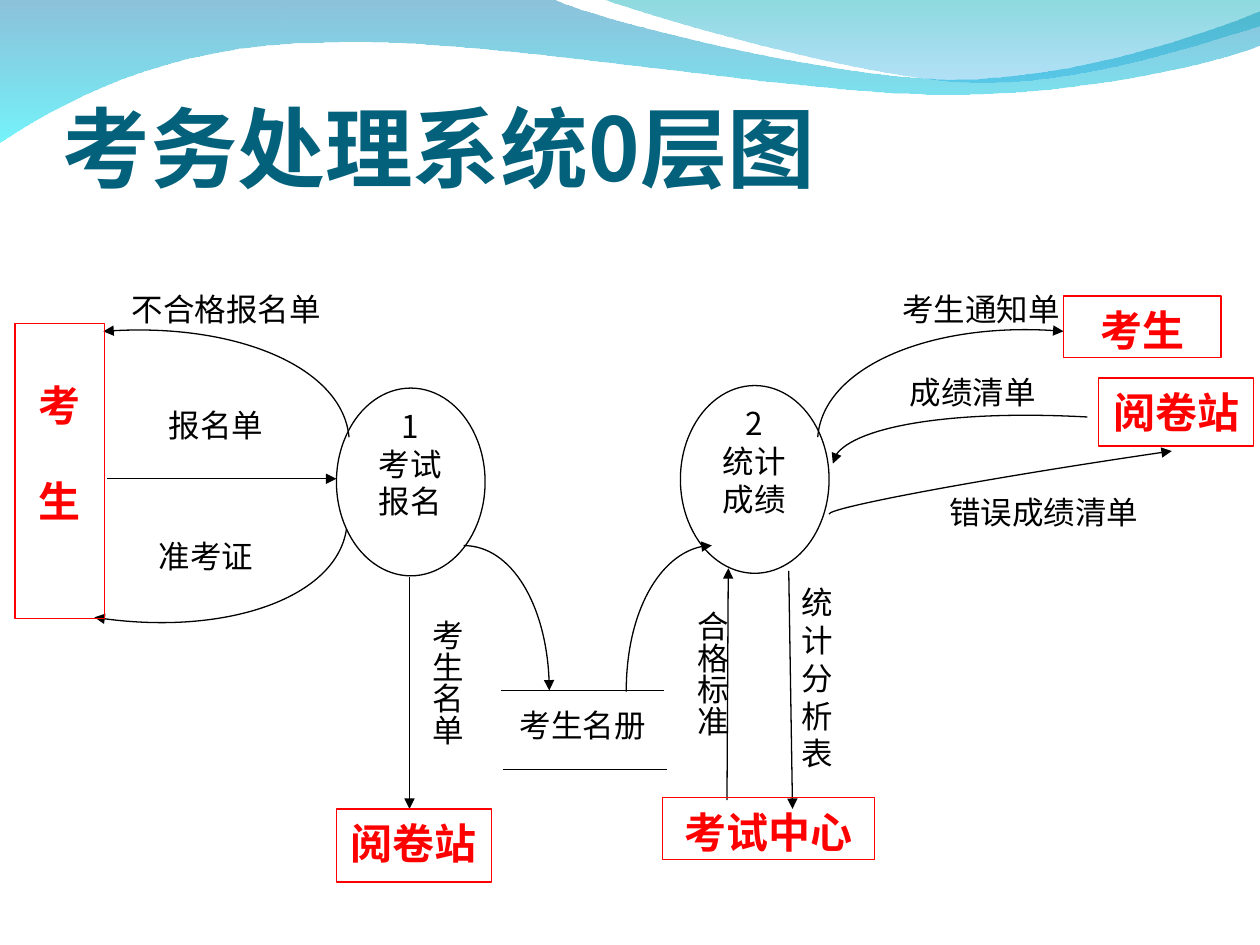
from lxml import etree
from pptx import Presentation
from pptx.dml.color import RGBColor
from pptx.enum.shapes import MSO_CONNECTOR, MSO_SHAPE
from pptx.enum.text import MSO_ANCHOR, PP_ALIGN
from pptx.oxml.ns import qn
from pptx.util import Inches, Pt

LINE, RECT, OVAL = MSO_CONNECTOR.STRAIGHT, MSO_SHAPE.RECTANGLE, MSO_SHAPE.OVAL
TOP, BOTTOM = MSO_ANCHOR.TOP, MSO_ANCHOR.BOTTOM
LEFT, CENTER, JUST = PP_ALIGN.LEFT, PP_ALIGN.CENTER, PP_ALIGN.JUSTIFY

BLACK = RGBColor(0, 0, 0)
RED = RGBColor(0xFF, 0, 0)
TEAL = RGBColor(0x04, 0x61, 0x7B)
BLUE = RGBColor(0x00, 0x79, 0xAF)
CYAN = RGBColor(0x00, 0xEB, 0xF8)
GREEN = RGBColor(0x00, 0xAD, 0xB6)
SKY = RGBColor(0x00, 0x9B, 0xE5)

SANS = "Noto Sans CJK SC"
LABEL = {"size": Pt(18), "name": SANS, "bold": False}
ENTITY = {"size": Pt(24), "name": "Times New Roman", "bold": True}
TITLE = {"size": Pt(50), "name": SANS, "bold": True}

deck = Presentation()
deck.slide_width, deck.slide_height = Inches(10), Inches(7.5)
slide = deck.slides.add_slide(deck.slide_layouts[6])
shapes = slide.shapes


def write(shape, text, font, color, inset=(0.1, 0.05), anchor=TOP, **layout):
    """Fill a shape with one paragraph per line of text."""
    frame = shape.text_frame
    side, edge = map(Inches, inset)
    body = {"word_wrap": True, "vertical_anchor": anchor, "margin_left": side,
            "margin_right": side, "margin_top": edge, "margin_bottom": edge}
    for key, value in body.items():
        setattr(frame, key, value)
    frame.text = text
    for para in frame.paragraphs:
        for key, value in ({"alignment": CENTER} | layout).items():
            setattr(para, key, value)
        run = para.runs[0]
        for key, value in font.items():
            setattr(run.font, key, value)
        run.font.color.rgb = color
        etree.SubElement(run.font._element, qn("a:ea"), typeface=SANS)
    return frame


def trace(start, steps, close=False):
    """Draw an outline; a step of six numbers is a Bezier curve."""
    points = [(Inches(s[i]), Inches(s[i + 1]))
              for s in steps for i in range(0, len(s), 2)]
    pen = shapes.build_freeform(Inches(start[0]), Inches(start[1]))
    pen.add_line_segments(points, close=close)
    shape = pen.convert_to_shape()
    track = shape._element.find(".//" + qn("a:path"))
    legs = iter(track.findall(qn("a:lnTo")))
    for step in steps:
        part = [next(legs) for _ in range(len(step) // 2)]
        if len(part) == 3:
            curve = etree.Element(qn("a:cubicBezTo"))
            part[0].addprevious(curve)
            for leg in part:
                curve.append(leg[0])
                track.remove(leg)
    shape.shadow.inherit = False
    return shape


# Waves along the top
waves = [
    ((0, 0), [(4.4, 0), (4.76, 0.17, 6.64, 0.63, 7.58, 0.63),
              (8.53, 0.63, 9.58, 0.26, 10, 0.09), (10, 0.36),
              (9.83, 0.44, 8.7, 0.76, 7.46, 0.75),
              (6.22, 0.75, 3.82, 0.28, 2.57, 0.34),
              (1.29, 0.35, 0.46, 0.83, 0, 1.13)],
     [(BLUE, 45), (CYAN, 55)]),
    ((4.79, 0), [(5.09, 0.11, 6.82, 0.62, 7.69, 0.65),
                 (8.56, 0.69, 9.61, 0.32, 10, 0.21), (10, 0)],
     [(GREEN, 45), (SKY, 30)]),
]
for start, steps, tints in waves:
    wave = trace(start, steps, close=True)
    wave.line.fill.background()
    wave.fill.gradient()
    wave.fill.gradient_angle = 270
    for stop, (color, alpha) in zip(wave.fill.gradient_stops, tints):
        stop.color.rgb = color
        tint = stop._gs.find(qn("a:srgbClr"))
        etree.SubElement(tint, qn("a:alpha"), val=str(alpha * 1000))

# Title
box = shapes.add_textbox(Inches(0.5), Inches(0.33), Inches(9), Inches(1.25))
write(box, "考务处理系统0层图", TITLE, TEAL, (0, 0), BOTTOM, alignment=LEFT)

# Processes
for x, y, text in [(2.67, 3.08, "1\n考试\n报名"), (5.4, 3.06, "2\n统计\n成绩")]:
    oval = shapes.add_shape(OVAL, Inches(x), Inches(y), Inches(1.18), Inches(1.49))
    oval.shadow.inherit = False
    oval.fill.background()
    oval.line.color.rgb = BLACK
    oval.line.width = Pt(0.75)
    box = shapes.add_textbox(Inches(x - 0.09), Inches(y + 0.1),
                             Inches(1.35), Inches(1.37))
    write(box, text, LABEL, BLACK)

# Straight flows and the two rules of the data store
strokes = []
for x1, y1, x2, y2, arrow in [
    (0.85, 3.8, 2.67, 3.8, True),
    (3.25, 4.58, 3.25, 6.42, True),
    (6.26, 4.53, 6.29, 6.42, True),
    (5.77, 6.35, 5.78, 4.51, True),
    (3.98, 5.48, 5.27, 5.48, False),
    (3.99, 6.11, 5.29, 6.11, False),
]:
    flow = shapes.add_connector(LINE, Inches(x1), Inches(y1), Inches(x2), Inches(y2))
    etree.SubElement(flow._element.spPr, qn("a:effectLst"))
    strokes.append((flow, arrow))

# Curved flows
for start, curve in [
    ((2.77, 3.47), (2.72, 2.92, 1.85, 2.55, 0.82, 2.63)),
    ((2.75, 4.2), (2.67, 4.74, 1.77, 5.06, 0.75, 4.9)),
    ((6.49, 3.47), (6.53, 2.92, 7.41, 2.54, 8.44, 2.63)),
    ((6.58, 4.08), (6.58, 4.03, 7.79, 3.8, 9.3, 3.58)),
    ((8.63, 3.31), (7.53, 3.25, 6.62, 3.42, 6.61, 3.68)),
    ((3.68, 4.33), (4.06, 4.33, 4.36, 4.84, 4.36, 5.48)),
    ((4.97, 5.49), (4.97, 4.85, 5.28, 4.33, 5.65, 4.33)),
]:
    flow = trace(start, [curve])
    flow.fill.background()
    strokes.append((flow, True))

for flow, arrow in strokes:
    flow.line.color.rgb = BLACK
    flow.line.width = Pt(0.75)
    if arrow:
        etree.SubElement(flow.line._ln, qn("a:tailEnd"), type="triangle")

# Flow labels
for x, y, w, h, text, space in [
    (1.06, 3.17, 1.31, 0.82, "报名单", 1),
    (0.67, 2.25, 2.25, 0.81, "不合格报名单", 1),
    (0.98, 4.21, 1.31, 0.82, "准考证", 1),
    (6.25, 4.58, 0.48, 0.79, "统计分析表", 1),
    (6.94, 2.25, 1.69, 0.82, "考生通知单", 1),
    (7.29, 3.96, 1.99, 0.37, "错误成绩清单", 0.64),
    (6.94, 3.01, 1.56, 0.21, "成绩清单", 0.64),
    (3.96, 5.55, 1.33, 0.79, "考生名册", 1),
]:
    box = shapes.add_textbox(Inches(x), Inches(y), Inches(w), Inches(h))
    write(box, text, LABEL, BLACK, line_spacing=space)

# Vertical labels
for x, y, text in [(2.91, 4.82, "考生名单"), (5.01, 4.75, "合格标准")]:
    box = shapes.add_textbox(Inches(x), Inches(y), Inches(0.84), Inches(1.77))
    frame = write(box, text, LABEL, BLACK, (0.05, 0.1), alignment=JUST)
    frame._txBody.bodyPr.set("vert", "eaVert")

# External entities
for x, y, w, h, text, edge in [
    (8.44, 2.35, 1.25, 0.49, "考生", 0.05),
    (0.12, 2.57, 0.71, 2.34, "考\n生", 0.42),
    (2.67, 6.42, 1.23, 0.58, "阅卷站", 0.05),
    (5.26, 6.33, 1.68, 0.49, "考试中心", 0.05),
    (8.72, 3, 1.23, 0.54, "阅卷站", 0.05),
]:
    unit = shapes.add_shape(RECT, Inches(x), Inches(y), Inches(w), Inches(h))
    unit.shadow.inherit = False
    unit.fill.background()
    unit.line.color.rgb = RED
    unit.line.width = Pt(0.75)
    frame = write(unit, text, ENTITY, RED, (0.1, edge), line_spacing=1.05)
    for para in frame.paragraphs[1:]:
        para.space_before = Pt(25)

deck.save("out.pptx")
